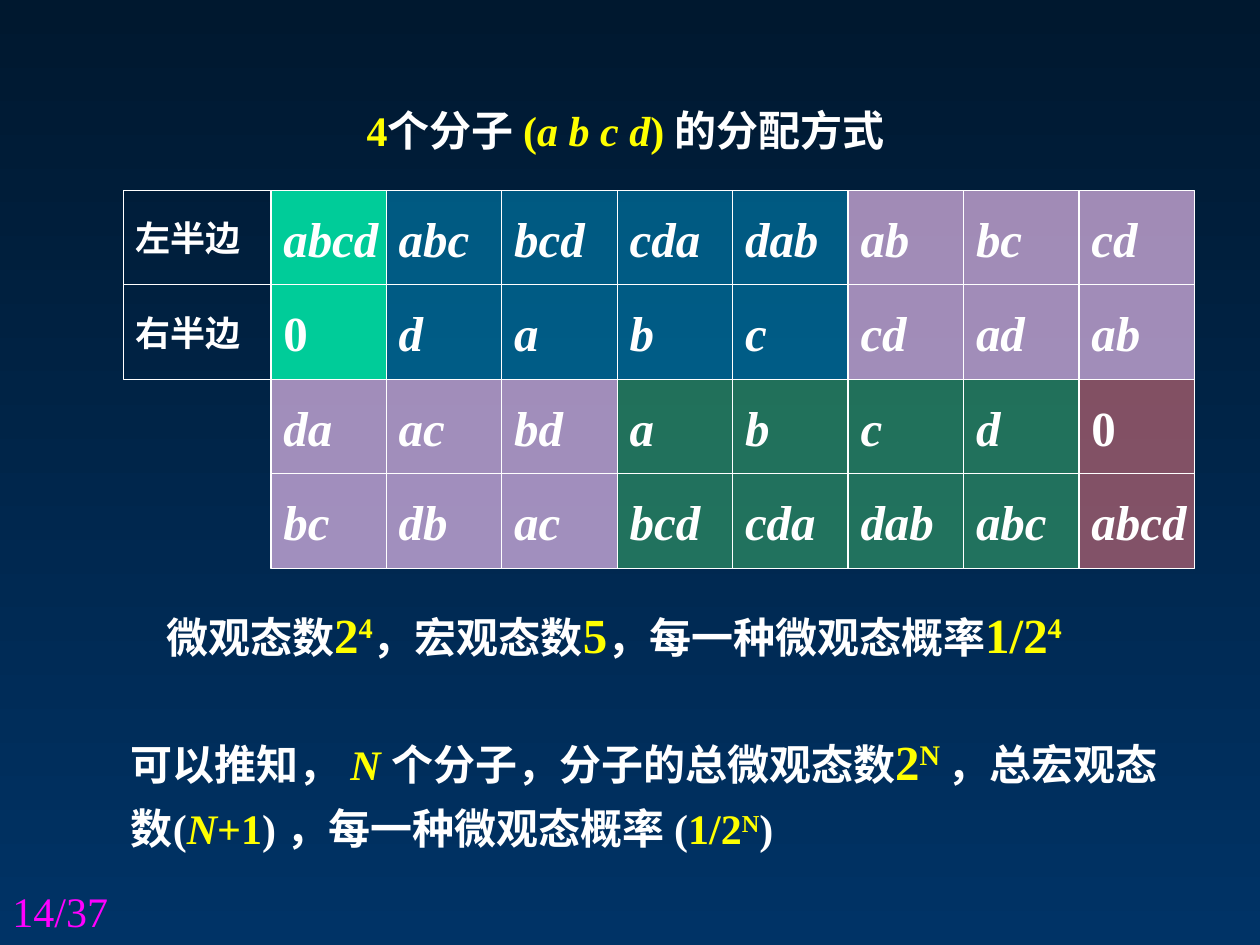
"""Build the slide on how four molecules spread over two halves."""
from lxml import etree
from pptx import Presentation
from pptx.dml.color import RGBColor
from pptx.enum.shapes import MSO_SHAPE
from pptx.enum.text import MSO_ANCHOR, MSO_AUTO_SIZE, PP_ALIGN
from pptx.oxml.ns import qn
from pptx.util import Inches, Pt

RECT = MSO_SHAPE.RECTANGLE
TOP, MID = MSO_ANCHOR.TOP, MSO_ANCHOR.MIDDLE
FIXED = MSO_AUTO_SIZE.NONE
LEFT = PP_ALIGN.LEFT
FONT = "Times New Roman"

WHITE = RGBColor(0xFF, 0xFF, 0xFF)
YELLOW = RGBColor(0xFF, 0xFF, 0x00)
PINK = RGBColor(0xFF, 0x00, 0xFF)
DARK = RGBColor(0x00, 0x18, 0x2F)
NAVY = RGBColor(0x00, 0x33, 0x66)
MINT = (RGBColor(0x00, 0xCC, 0x99), 100)
BLUE = (RGBColor(0x00, 0x99, 0xCC), 49)
LILAC = (RGBColor(0xFF, 0xCC, 0xFF), 63)
GREEN = (RGBColor(0x33, 0x99, 0x66), 66)
RED = (RGBColor(0xFF, 0x7C, 0x80), 51)

SIDES = ["左半边", "右半边"]
ROWS = [
    ["abcd", "abc", "bcd", "cda", "dab", "ab", "bc", "cd"],
    ["0", "d", "a", "b", "c", "cd", "ad", "ab"],
    ["da", "ac", "bd", "a", "b", "c", "d", "0"],
    ["bc", "db", "ac", "bcd", "cda", "dab", "abc", "abcd"],
]
UPPER = [MINT] + [BLUE] * 4 + [LILAC] * 3
LOWER = [LILAC] * 3 + [GREEN] * 4 + [RED]
FILLS = [UPPER, UPPER, LOWER, LOWER]

TITLE = [
    ("4", 24, YELLOW, "b"), ("个分子 ", 24, WHITE, "b"),
    ("(", 24, YELLOW, "b"), ("a b c d", 24, YELLOW, "bi"),
    (") ", 24, YELLOW, "b"), ("的分配方式", 24, WHITE, "b"),
]
COUNT = [
    ("微观态数", 24, WHITE, "b"), ("2", 28, YELLOW, "b"),
    ("4", 28, YELLOW, "b^"), ("，宏观态数", 24, WHITE, "b"),
    ("5", 28, YELLOW, "b"), ("，每一种微观态概率", 24, WHITE, "b"),
    ("1/2", 28, YELLOW, "b"), ("4", 28, YELLOW, "b^"),
]
RULE = [
    ("可以推知， ", 24, WHITE, "b"), ("N ", 24, YELLOW, "bi"),
    ("个分子，分子的总微观态数", 24, WHITE, "b"), ("2", 28, YELLOW, "b"),
    ("N ", 28, YELLOW, "b^"), ("，总宏观态数(", 24, WHITE, "b"),
    ("N", 24, YELLOW, "bi"), ("+1", 24, YELLOW, "b"),
    (") ，每一种微观态概率 (", 24, WHITE, "b"), ("1/2", 24, YELLOW, "b"),
    ("N", 24, YELLOW, "b^"), (")", 24, WHITE, "b"),
]
PAGE = [("14/37", 24, PINK, "")]
NOTES = [
    ((1.22, 4.75, 7.69, 0.57), COUNT, 1),
    ((0.94, 5.64, 8.58, 1.18), RULE, 1.25),
    ((0, 6.98, 2.33, 0.52), PAGE, 1),
]

GRID_X, GRID_Y, GRID_W = 2.15, 1.51, 7.33
SIDE_X, SIDE_W = 0.98, 1.17
CELL_W, CELL_H = GRID_W / len(UPPER), 0.75


def write(shape, runs, anchor=TOP, wrap=True, space=1):
    frame = shape.text_frame
    frame.auto_size = FIXED
    frame.word_wrap = wrap
    frame.vertical_anchor = anchor
    para = frame.paragraphs[0]
    para.alignment = LEFT
    para.line_spacing = space
    for text, size, color, style in runs:
        run = para.add_run()
        run.text = text
        font = run.font
        font.name, font.size = FONT, Pt(size)
        font.bold, font.italic = "b" in style, "i" in style
        font.color.rgb = color
        if "^" in style:
            run._r.get_or_add_rPr().set("baseline", "30000")


def add_cell(slide, left, row, width, run, fill=None):
    top = GRID_Y + row * CELL_H
    box = slide.shapes.add_shape(
        RECT, Inches(left), Inches(top), Inches(width), Inches(CELL_H))
    box.shadow.inherit = False
    box.line.color.rgb = WHITE
    box.line.width = Pt(0.75)
    if fill:
        color, alpha = fill
        box.fill.solid()
        box.fill.fore_color.rgb = color
        tint = box._element.spPr.find(qn("a:solidFill"))[0]
        etree.SubElement(tint, qn("a:alpha")).set("val", str(alpha * 1000))
    else:
        box.fill.background()
    write(box, [run], MID, False)


def main():
    deck = Presentation()
    deck.slide_width, deck.slide_height = Inches(10), Inches(7.5)
    slide = deck.slides.add_slide(deck.slide_layouts[5])

    back = slide.background.fill
    back.gradient()
    back.gradient_angle = 270
    for stop, color in zip(back.gradient_stops, (DARK, NAVY)):
        stop.color.rgb = color

    title = slide.shapes.title
    title.left, title.top = Inches(2.81), Inches(0.78)
    title.width, title.height = Inches(5.64), Inches(0.51)
    write(title, TITLE)

    for row, side in enumerate(SIDES):
        add_cell(slide, SIDE_X, row, SIDE_W, (side, 20, WHITE, "b"))
    for row, (names, fills) in enumerate(zip(ROWS, FILLS)):
        for col, (name, fill) in enumerate(zip(names, fills)):
            style = "bi" if name.isalpha() else "b"
            left = GRID_X + col * CELL_W
            add_cell(slide, left, row, CELL_W, (name, 28, WHITE, style), fill)

    for place, runs, space in NOTES:
        box = slide.shapes.add_textbox(*map(Inches, place))
        write(box, runs, space=space)
    deck.save("out.pptx")


if __name__ == "__main__":
    main()
